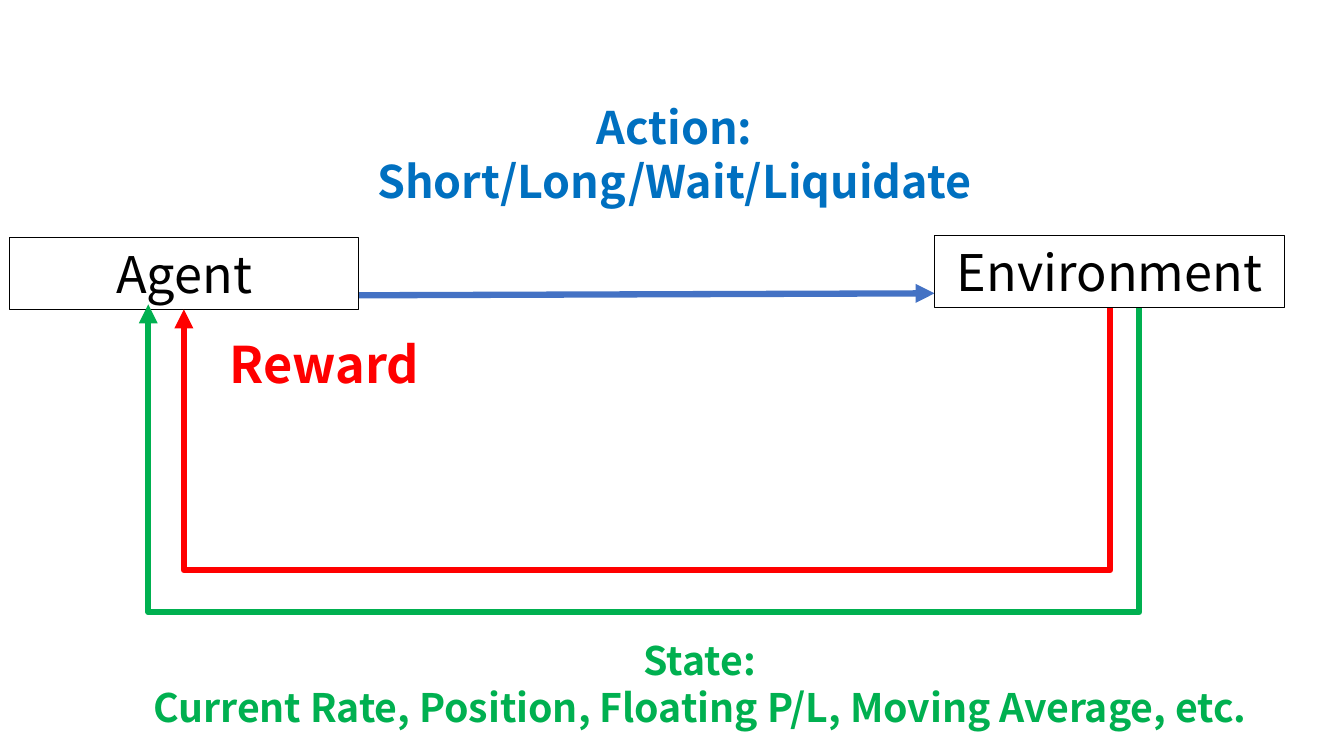
from lxml import etree
from pptx import Presentation
from pptx import util as u
from pptx.dml.color import RGBColor
from pptx.enum import shapes, text
from pptx.oxml import ns

WIDE, HIGH = 13.33, 7.5
COLS, ROWS = 100, 100
BLACK = RGBColor(0x00, 0x00, 0x00)
WHITE = RGBColor(0xFF, 0xFF, 0xFF)
BLUE = RGBColor(0x00, 0x70, 0xC0)
STEEL = RGBColor(0x44, 0x72, 0xC4)
RED = RGBColor(0xFF, 0x00, 0x00)
GREEN = RGBColor(0x00, 0xB0, 0x50)


class Board:
    """Draws on one slide, on a grid of 100 columns by 100 rows."""

    font = "Noto Sans CJK JP"
    weight = 4.5

    def __init__(self, deck):
        self.slide = deck.slides.add_slide(deck.slide_layouts[6])
        self.shapes = self.slide.shapes

    def x(self, col):
        return u.Inches(WIDE * col / COLS)

    def y(self, row):
        return u.Inches(HIGH * row / ROWS)

    def place(self, col, row, cols, rows):
        return self.x(col), self.y(row), self.x(cols), self.y(rows)

    def letter(self, shape, words, size, color, bold=False):
        frame = shape.text_frame
        frame.word_wrap = True
        frame.auto_size = text.MSO_AUTO_SIZE.SHAPE_TO_FIT_TEXT
        frame.text = words
        for para in frame.paragraphs:
            para.alignment = text.PP_ALIGN.CENTER
            for run in para.runs:
                run.font.name = self.font
                run.font.size = u.Pt(size)
                run.font.bold = bold
                run.font.color.rgb = color

    def box(self, words, *spot):
        shape = self.shapes.add_shape(
            shapes.MSO_SHAPE.RECTANGLE, *self.place(*spot))
        shape.shadow.inherit = False
        shape.fill.solid()
        shape.fill.fore_color.rgb = WHITE
        shape.line.color.rgb = BLACK
        shape.line.width = u.Pt(0.75)
        self.letter(shape, words, 36, BLACK)

    def label(self, words, size, color, *spot):
        shape = self.shapes.add_textbox(*self.place(*spot))
        self.letter(shape, words, size, color, bold=True)

    def arrow(self, kind, color, *ends):
        link = self.shapes.add_connector(kind, *ends)
        link.line.color.rgb = color
        link.line.width = u.Pt(self.weight)
        shape = link._element.spPr
        line = shape.find(ns.qn("a:ln"))
        etree.SubElement(line, ns.qn("a:tailEnd"), type="triangle")
        etree.SubElement(shape, ns.qn("a:effectLst"))
        return link

    def straight(self, color, left, top, right, low):
        self.arrow(shapes.MSO_CONNECTOR.STRAIGHT, color,
                   self.x(left), self.y(top), self.x(right), self.y(low))

    def loop(self, color, right, start, left, end, floor):
        """Runs down from the right, along the floor and up at the left."""
        midx = self.x((left + right) / 2)
        midy = self.y((start + end) / 2)
        half = self.x((right - left) / 2)
        rise = self.y((end - start) / 2)
        # The elbow is drawn upright, then given a quarter turn
        link = self.arrow(shapes.MSO_CONNECTOR.ELBOW, color,
                          midx - rise, midy - half, midx + rise, midy + half)
        shape = link._element.spPr
        shape.find(ns.qn("a:xfrm")).set("rot", "5400000")
        bends = shape.find(ns.qn("a:prstGeom")).find(ns.qn("a:avLst"))
        drop = round((floor - start) / (end - start) * 100000)
        etree.SubElement(bends, ns.qn("a:gd"), name="adj1", fmla=f"val {drop}")


def main():
    deck = Presentation()
    deck.slide_width, deck.slide_height = u.Inches(WIDE), u.Inches(HIGH)
    board = Board(deck)

    # Agent, environment and the arrows between them
    board.straight(STEEL, 25.8, 39.07, 69.54, 38.8)
    board.box("Agent", 0.68, 31.47, 26.03, 9.47)
    board.loop(RED, 82.6, 40.67, 13.68, 40.93, 75.07)
    board.loop(GREEN, 84.77, 35.6, 11.03, 40.27, 80.93)
    board.box("Environment", 69.54, 31.2, 26.03, 9.47)

    # Names of the flows
    board.label("State:\nCurrent Rate, Position, Floating P/L, "
                "Moving Average, etc.", 28, GREEN, 8.55, 83.47, 87.02, 13.87)
    board.label("Action:\nShort/Long/Wait/Liquidate", 32, BLUE,
                24.16, 12.53, 52.06, 15.73)
    board.label("Reward", 36, RED, 15.53, 43.47, 17.25, 9.47)

    deck.save("out.pptx")


if __name__ == "__main__":
    main()
